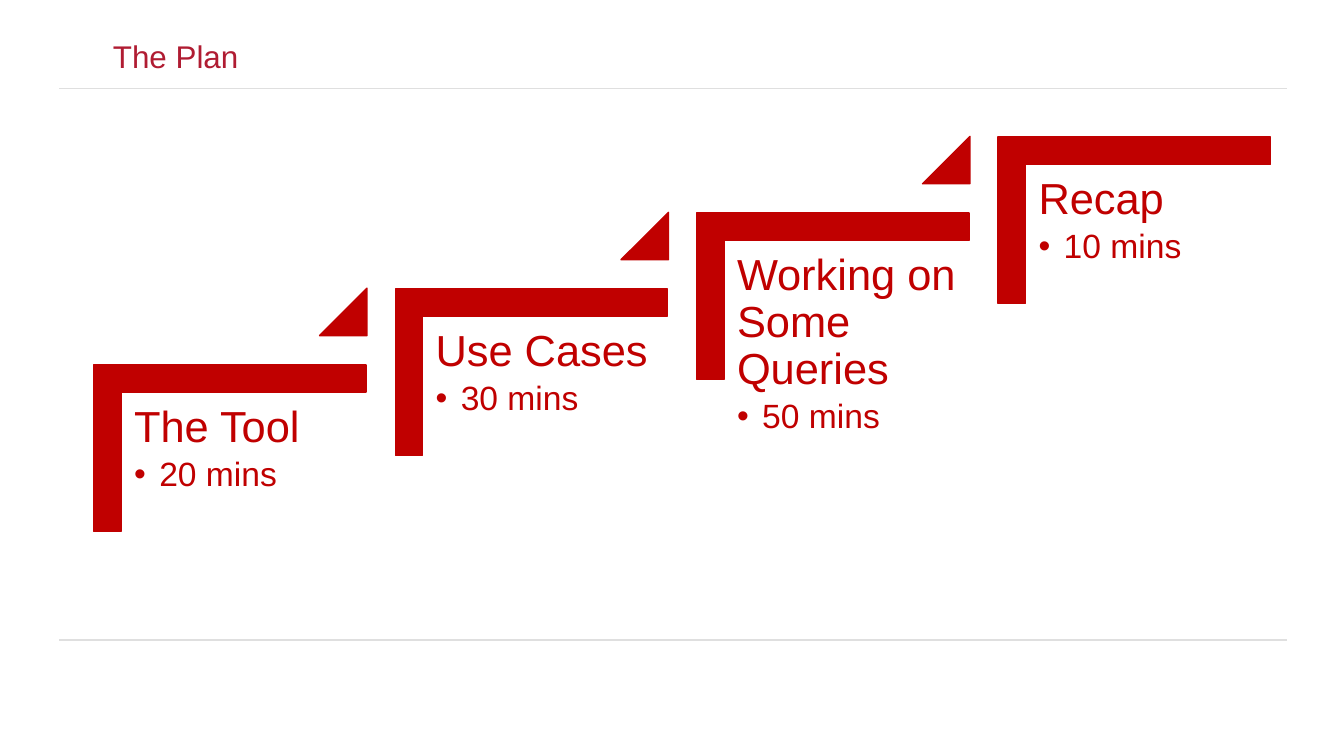
import pptx
import pptx.util
import pptx.dml.color
import pptx.enum.text
import pptx.oxml

WIDTH, HEIGHT = 13.33, 7.5
COLORS = {"title": "B01C32", "step": "C00000", "rule": "DFDFDF"}
FONT = "Arial"
NS = 'xmlns:a="http://schemas.openxmlformats.org/drawingml/2006/main"'
STEPS = [
    ("The Tool", "20 mins", 1.3),
    ("Use Cases", "30 mins", 1.3),
    ("Working on Some Queries", "50 mins", 2.23),
    ("Recap", "10 mins", 1.3),
]
FIRST_LEFT, FIRST_TOP = 0.93, 3.62
COLUMN, ROW = 2.99, 2.26 / 3
STEP_W, STEP_H, BAR_W = 2.7, 1.65, 0.27
ARROW = 0.47
INDENT = 0.25


def inches(value):
    return pptx.util.Inches(value)


def color(name):
    return pptx.dml.color.RGBColor.from_string(COLORS[name])


def add_rule(s, y):
    line = s.shapes.add_connector(1, inches(0.59), inches(y), inches(12.76), inches(y))
    line.line.color.rgb = color("rule")
    line.line.width = pptx.util.Pt(1)
    line._element.spPr.append(pptx.oxml.parse_xml(f"<a:effectLst {NS}/>"))


def add_outline(s, points):
    corners = [(inches(x), inches(y)) for x, y in points]
    builder = s.shapes.build_freeform(*corners[0])
    builder.add_line_segments(corners[1:], close=True)
    sp = builder.convert_to_shape()
    sp.shadow.inherit = False
    sp.fill.solid()
    sp.fill.fore_color.rgb = color("step")
    sp.line.color.rgb = color("step")
    sp.line.width = pptx.util.Pt(1)


def place_text(sp, left, top, width, height, inset):
    sp.left, sp.top = inches(left), inches(top)
    sp.width, sp.height = inches(width), inches(height)
    tf = sp.text_frame
    tf.word_wrap = True
    tf.auto_size = pptx.enum.text.MSO_AUTO_SIZE.NONE
    tf.vertical_anchor = pptx.enum.text.MSO_ANCHOR.TOP
    tf.margin_left = tf.margin_right = inches(inset)
    tf.margin_top = tf.margin_bottom = inches(inset)
    return tf


def format_paragraph(p, size, name, before, bullet=False):
    p.alignment = pptx.enum.text.PP_ALIGN.LEFT
    p.line_spacing = 0.9
    p.space_before = pptx.util.Pt(before)
    p.space_after = pptx.util.Pt(0)
    indent = inches(INDENT) if bullet else 0
    pPr = p._p.get_or_add_pPr()
    pPr.set("marL", str(indent))
    pPr.set("indent", str(-indent))
    mark = f'<a:buChar {NS} char="•"/>' if bullet else f"<a:buNone {NS}/>"
    pPr.append(pptx.oxml.parse_xml(mark))
    for r in p.runs:
        r.font.name = FONT
        r.font.size = pptx.util.Pt(size)
        r.font.bold = False
        r.font.color.rgb = color(name)


def add_title(s, text):
    tf = place_text(s.shapes.title, 1.07, 0.36, 11.11, 0.45, 0.05)
    tf.text = text
    format_paragraph(tf.paragraphs[0], 22.4, "title", 7)


def add_corner(s, left, top):
    right, bottom = left + STEP_W, top + STEP_H
    inner_x, inner_y = left + BAR_W, top + BAR_W
    add_outline(s, [(right, top), (right, inner_y), (inner_x, inner_y),
                    (inner_x, bottom), (left, bottom), (left, top)])


def add_arrow(s, right, bottom):
    add_outline(s, [(right - ARROW, bottom), (right, bottom - ARROW), (right, bottom)])


def fill_step(sp, left, top, height, heading, duration):
    tf = place_text(sp, left + BAR_W, top + BAR_W, 2.44, height, 0.13)
    tf.text = heading
    format_paragraph(tf.paragraphs[0], 31, "step", 13)
    p = tf.add_paragraph()
    p.text = duration
    p.level = 1
    format_paragraph(p, 24, "step", 4, bullet=True)


def main():
    prs = pptx.Presentation()
    prs.slide_width, prs.slide_height = inches(WIDTH), inches(HEIGHT)
    s = prs.slides.add_slide(prs.slide_layouts.get_by_name("Comparison"))
    add_rule(s, 0.88)
    add_rule(s, 6.35)
    add_title(s, "The Plan")
    for i, (heading, duration, height) in enumerate(STEPS):
        left, top = FIRST_LEFT + i * COLUMN, FIRST_TOP - i * ROW
        add_corner(s, left, top)
        fill_step(s.placeholders[i + 1], left, top, height, heading, duration)
        if i < len(STEPS) - 1:
            add_arrow(s, left + STEP_W + 0.01, top - 0.29)
    prs.save("out.pptx")


if __name__ == "__main__":
    main()
